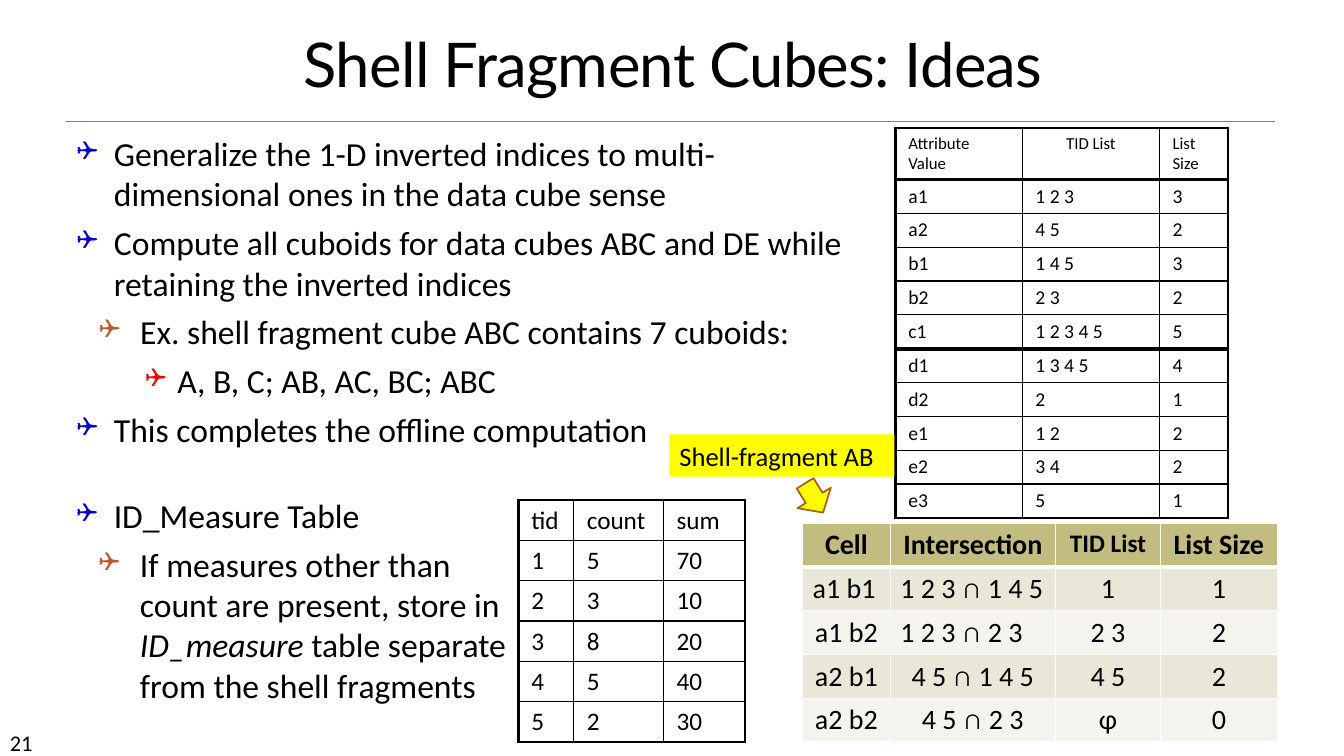
"""Build the slide on shell fragment cubes."""
from lxml.etree import SubElement
from pptx import Presentation
from pptx.dml.color import RGBColor
from pptx.enum.shapes import MSO_CONNECTOR, MSO_SHAPE
from pptx.enum.text import MSO_ANCHOR, MSO_AUTO_SIZE, PP_ALIGN
from pptx.oxml.ns import qn
from pptx.util import Inches, Pt

BLACK = RGBColor(0x00, 0x00, 0x00)
WHITE = RGBColor(0xFF, 0xFF, 0xFF)
GREY = RGBColor(0x80, 0x80, 0x80)
BLUE = RGBColor(0x00, 0x00, 0xCC)
RUST = RGBColor(0xBD, 0x58, 0x2C)
RED = RGBColor(0xFF, 0x00, 0x00)
YELLOW = RGBColor(0xFF, 0xFF, 0x00)
BROWN = RGBColor(0xA9, 0x61, 0x0D)
KHAKI = RGBColor(0xC2, 0xBC, 0x80)
BEIGE = RGBColor(0xE9, 0xE7, 0xD8)
CREAM = RGBColor(0xF4, 0xF3, 0xED)

BULLETS = {0: (0.37, -0.37, BLUE), 1: (0.63, -0.41, RUST), 3: (1, -0.32, RED)}


def fill_list(frame, items):
    """Write bulleted items, each a level and its run texts, into a text frame."""
    frame.word_wrap = True
    frame.auto_size = MSO_AUTO_SIZE.NONE
    frame.vertical_anchor = MSO_ANCHOR.TOP
    for index, (level, texts) in enumerate(items):
        para = frame.add_paragraph() if index else frame.paragraphs[0]
        para.level = level
        para.alignment = PP_ALIGN.LEFT
        para.space_before = Pt(6 if index else 0)
        margin, indent, colour = BULLETS[level]
        properties = para._p.get_or_add_pPr()
        properties.set("marL", str(Inches(margin)))
        properties.set("indent", str(Inches(indent)))
        bullet_colour = SubElement(properties, qn("a:buClr"))
        SubElement(bullet_colour, qn("a:srgbClr"), val=str(colour))
        SubElement(properties, qn("a:buSzPct"), val="80000")
        SubElement(properties, qn("a:buFont"), typeface="Wingdings")
        SubElement(properties, qn("a:buChar"), char="❑")
        for text in texts:
            span = para.add_run()
            span.text = text
            span.font.name, span.font.size = "Calibri", Pt(24)
            span.font.color.rgb = BLACK


def add_grid(rows, left, top, widths, heights, size, outer, colour, heavy, margin, fills):
    """Add a table; heavy maps a horizontal rule's index to its width in points."""
    frame = page.shapes.add_table(len(rows), len(widths), Inches(left), Inches(top),
                                  Inches(sum(widths)), Inches(sum(heights)))
    table = frame.table
    table.first_row = table.horz_banding = False
    for column, width in zip(table.columns, widths):
        column.width = Inches(width)
    for r, (texts, height) in enumerate(zip(rows, heights)):
        table.rows[r].height = Inches(height)
        for c, text in enumerate(texts):
            cell = table.cell(r, c)
            cell.margin_left = cell.margin_right = Inches(margin)
            borders = {
                "L": 1 if c else outer,
                "R": 1 if c < len(widths) - 1 else outer,
                "T": heavy.get(r, 1 if r else outer),
                "B": heavy.get(r + 1, 1 if r < len(rows) - 1 else outer),
            }
            for side, points in borders.items():
                line = SubElement(cell._tc.get_or_add_tcPr(), qn(f"a:ln{side}"),
                                  w=str(Pt(points)))
                SubElement(SubElement(line, qn("a:solidFill")), qn("a:srgbClr"),
                           val=str(colour))
            if fills:
                cell.fill.solid()
                cell.fill.fore_color.rgb = fills[r]
            else:
                cell.fill.background()
            cell.text_frame.text = text
            font = cell.text_frame.paragraphs[0].runs[0].font
            font.name, font.size, font.color.rgb = "Calibri", Pt(size), BLACK
    return table


deck = Presentation()
deck.slide_width, deck.slide_height = Inches(13.33), Inches(7.5)
page = deck.slides.add_slide(deck.slide_layouts[1])

rule = page.shapes.add_connector(MSO_CONNECTOR.STRAIGHT, Inches(0.65), Inches(1.2),
                                 Inches(12.65), Inches(1.2))
rule.line.color.rgb, rule.line.width = GREY, Pt(0.5)
SubElement(rule._element.spPr, qn("a:effectLst"))

number_box = page.shapes.add_textbox(Inches(0), Inches(7.18), Inches(1.17), Inches(0.3))
number_box.text_frame.word_wrap = True
number_box.text_frame.text = "21"
font = number_box.text_frame.paragraphs[0].runs[0].font
font.name, font.size, font.color.rgb = "Calibri", Pt(16), BLACK

title = page.shapes.title
title.left, title.top = Inches(0.34), Inches(0.29)
title.width, title.height = Inches(12.67), Inches(0.75)
title.text_frame.text = "Shell Fragment Cubes: Ideas"
title.text_frame.auto_size = MSO_AUTO_SIZE.NONE
title.text_frame.vertical_anchor = MSO_ANCHOR.BOTTOM
para = title.text_frame.paragraphs[0]
para.alignment, para.line_spacing = PP_ALIGN.CENTER, 0.85
span = para.runs[0]
span.font.name, span.font.size, span.font.color.rgb = "Lato", Pt(44), BLACK
span._r.get_or_add_rPr().set("spc", "-50")

body = page.placeholders[1]
body.left, body.top = Inches(0.66), Inches(1.27)
body.width, body.height = Inches(7.96), Inches(3.2)
fill_list(body.text_frame, [
    (0, ["Generalize the 1-D inverted indices to multi-dimensional ones in the data cube sense"]),
    (0, ["Compute all cuboids for data cubes ABC and DE while retaining the inverted indices"]),
    (1, ["Ex. shell fragment cube ABC contains 7 cuboids:"]),
    (3, ["A, B, C; AB, AC, BC; ABC"]),
    (0, ["This completes the offline computation"]),
])

index_rows = [
    ("Attribute Value", "TID List", "List Size"),
    ("a1", "1 2 3", "3"), ("a2", "4 5", "2"), ("b1", "1 4 5", "3"), ("b2", "2 3", "2"),
    ("c1", "1 2 3 4 5", "5"), ("d1", "1 3 4 5", "4"), ("d2", "2", "1"),
    ("e1", "1 2", "2"), ("e2", "3 4", "2"), ("e3", "5", "1"),
]
index_table = add_grid(index_rows, 8.88, 1.27, [1.26, 1.36, 0.68], [0.51] + [0.336] * 10,
                       14, 2.25, BLACK, {1: 3, 6: 3}, 0.13, None)
for cell in index_table.rows[0].cells:
    cell.text_frame.paragraphs[0].runs[0].font.size = Pt(12)
index_table.cell(0, 1).text_frame.paragraphs[0].alignment = PP_ALIGN.CENTER

fragment_rows = [
    ("Cell", "Intersection", "TID List", "List Size"),
    ("a1 b1", "1 2 3 ∩ 1 4 5", "1", "1"),
    ("a1 b2", "1 2 3 ∩ 2 3", "2 3", "2"),
    ("a2 b1", "4 5 ∩ 1 4 5", "4 5", "2"),
    ("a2 b2", "4 5 ∩ 2 3", "φ", "0"),
]
fragment_table = add_grid(fragment_rows, 7.96, 5.19, [0.87, 1.64, 1.04, 1.16], [0.43] * 5,
                          20, 1, WHITE, {1: 3}, 0.1, [KHAKI, BEIGE, CREAM, BEIGE, CREAM])
for cell in fragment_table.iter_cells():
    cell.text_frame.paragraphs[0].alignment = PP_ALIGN.CENTER
for r, c in [(1, 0), (1, 1), (2, 1)]:
    fragment_table.cell(r, c).text_frame.paragraphs[0].alignment = PP_ALIGN.LEFT
for cell in fragment_table.rows[0].cells:
    cell.text_frame.paragraphs[0].runs[0].font.bold = True
fragment_table.cell(0, 2).text_frame.paragraphs[0].runs[0].font.size = Pt(18)

measure_rows = [
    ("tid", "count", "sum"), ("1", "5", "70"), ("2", "3", "10"),
    ("3", "8", "20"), ("4", "5", "40"), ("5", "2", "30"),
]
add_grid(measure_rows, 5.14, 4.96, [0.55, 0.89, 0.81], [0.4] * 6,
         18, 2.25, BLACK, {}, 0.13, None)

measure_box = page.shapes.add_textbox(Inches(0.66), Inches(4.86), Inches(4.58), Inches(2.31))
fill_list(measure_box.text_frame, [
    (0, ["ID_Measure Table"]),
    (1, ["If measures other than count are present, store in ", "ID_measure",
         " table separate from the shell fragments"]),
])
measure_box.text_frame.paragraphs[1].runs[1].font.italic = True

label = page.shapes.add_shape(MSO_SHAPE.RECTANGLE, Inches(6.64), Inches(4.31),
                              Inches(2.23), Inches(0.42))
label.line.fill.background()
label.text_frame.word_wrap = True
label.text_frame.text = "Shell-fragment AB"
para = label.text_frame.paragraphs[0]
para.alignment = PP_ALIGN.LEFT
font = para.runs[0].font
font.name, font.size, font.color.rgb = "Calibri", Pt(19), BLACK

arrow = page.shapes.add_shape(MSO_SHAPE.DOWN_ARROW, Inches(7.88), Inches(4.77),
                              Inches(0.39), Inches(0.34))
arrow.rotation = 328.4
arrow.line.color.rgb, arrow.line.width = BROWN, Pt(1.25)
for shape in (label, arrow):
    shape.shadow.inherit = False
    shape.fill.solid()
    shape.fill.fore_color.rgb = YELLOW

deck.save("out.pptx")
